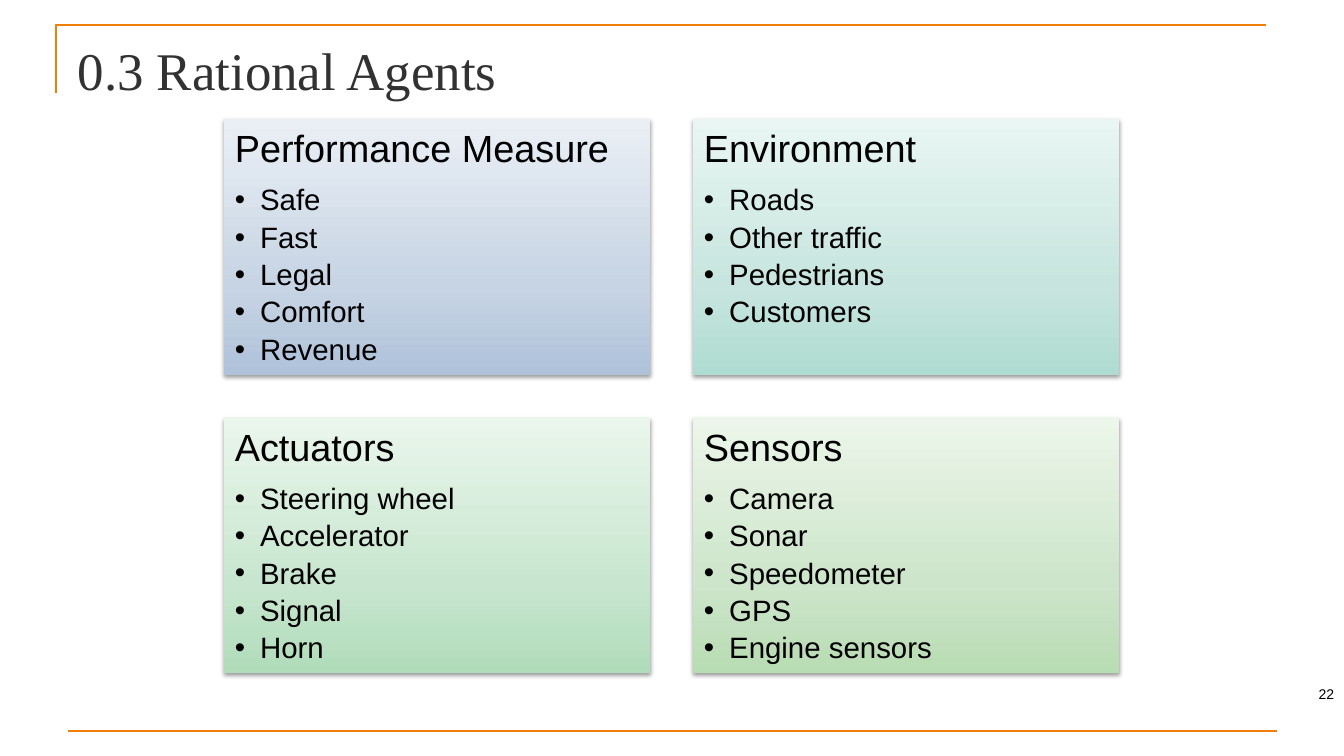
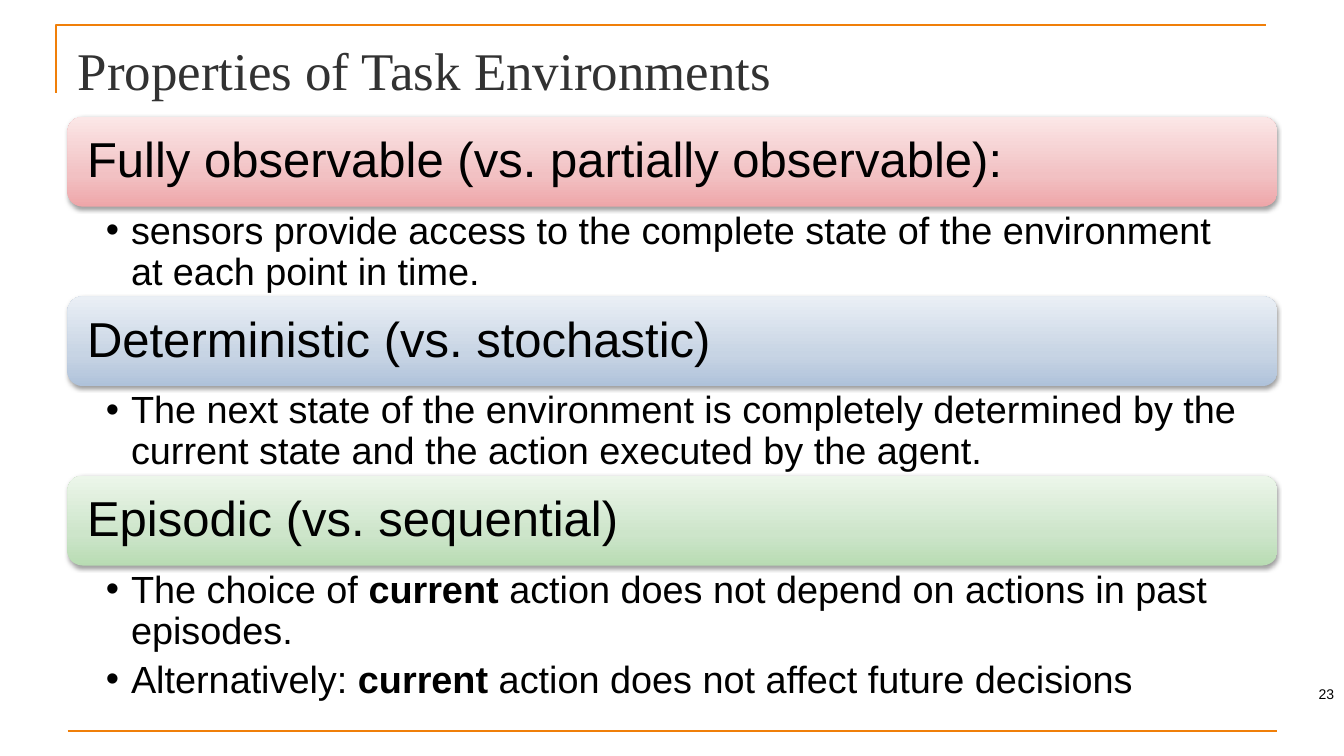
import copy
from dataclasses import dataclass

import pptx
import pptx.dml.color
import pptx.enum.shapes
import pptx.enum.text
import pptx.oxml
import pptx.oxml.ns
import pptx.util
from lxml import etree

Inches, Pt = pptx.util.Inches, pptx.util.Pt
RGB = pptx.dml.color.RGBColor.from_string
qn = pptx.oxml.ns.qn
SHAPE = pptx.enum.shapes.MSO_SHAPE
ANCHOR = pptx.enum.text.MSO_ANCHOR
ALIGN = pptx.enum.text.PP_ALIGN


@dataclass(frozen=True)
class Theme:
    title_font: str = "Times New Roman"
    body_font: str = "Arial"
    title_color: str = "323232"
    text_color: str = "000000"
    accent: str = "F07F09"
    title_size: float = 37.8
    band_size: float = 35
    heading_size: float = 27
    item_size: float = 21
    number_size: float = 10
    # Gradient stops from the bottom edge to the top edge
    stops: tuple = (0, 0.35, 1)
    blue: tuple = ("AFC2DA", "C7D4E4", "EAEFF5")
    teal: tuple = ("AFDCD2", "C7E5DE", "E9F6F3")
    mint: tuple = ("B0DCBA", "C8E6CF", "EAF6EC")
    green: tuple = ("B8DCB3", "CDE5CA", "ECF6EA")
    red: tuple = ("EEA6A9", "F2C1C3", "FBE7E7")


THEME = Theme()
SLIDE_WIDTH, SLIDE_HEIGHT = 13.33, 7.5
FIRST_NUMBER = 22
CONTENT_LEFT, CONTENT_WIDTH = 0.67, 12

# Card grid: height and gap follow from the card width
CARD_LEFT, CARD_TOP, CARD_WIDTH, CARD_COLUMNS = 2.22, 1.18, 4.23, 2
CARD_HEIGHT, CARD_GAP = 0.6 * CARD_WIDTH, 0.1 * CARD_WIDTH

# Stack of bands, each followed by its details
STACK_TOP, BAND_HEIGHT = 1.16, 0.89

CARDS = [
    ("Performance Measure", THEME.blue,
     ["Safe", "Fast", "Legal", "Comfort", "Revenue"]),
    ("Environment", THEME.teal,
     ["Roads", "Other traffic", "Pedestrians", "Customers"]),
    ("Actuators", THEME.mint,
     ["Steering wheel", "Accelerator", "Brake", "Signal", "Horn"]),
    ("Sensors", THEME.green,
     ["Camera", "Sonar", "Speedometer", "GPS", "Engine sensors"]),
]

# Asterisk pairs mark bold words; the number is the height of the details
BANDS = [
    ("Fully observable (vs. partially observable):", THEME.red, 0.89,
     ["sensors provide access to the complete state of the environment "
      "at each point in time."]),
    ("Deterministic (vs. stochastic)", THEME.blue, 0.89,
     ["The next state of the environment is completely determined by the "
      "current state and the action executed by the agent."]),
    ("Episodic (vs. sequential)", THEME.green, 1.39,
     ["The choice of **current **action does not depend on actions in past "
      "episodes.",
      "Alternatively: **current** action does not affect future decisions"]),
]


def box(*lengths):
    return [Inches(length) for length in lengths]


# Text
def style_font(font, size, name=THEME.body_font, color=THEME.text_color):
    font.size = Pt(size)
    font.name = name
    font.color.rgb = RGB(color)


def set_frame(frame, margins, anchor=ANCHOR.TOP):
    frame.word_wrap = True
    frame.vertical_anchor = anchor
    (frame.margin_left, frame.margin_top,
     frame.margin_right, frame.margin_bottom) = box(*margins)


def add_bullet(paragraph, indent=0.25):
    properties = paragraph._p.get_or_add_pPr()
    properties.set("marL", str(Inches(indent)))
    properties.set("indent", str(-Inches(indent)))
    etree.SubElement(properties, qn("a:buFont")).set("typeface", THEME.body_font)
    etree.SubElement(properties, qn("a:buChar")).set("char", "•")


def write_paragraphs(frame, texts, size, space_after, bullet=False):
    for text in texts:
        first = frame.paragraphs[0]
        paragraph = frame.add_paragraph() if first.runs else first
        for index, part in enumerate(text.split("**")):
            run = paragraph.add_run()
            run.text = part
            if index % 2:
                run.font.bold = True
        paragraph.alignment = ALIGN.LEFT
        paragraph.line_spacing = 0.9
        paragraph.space_after = Pt(space_after)
        if bullet:
            add_bullet(paragraph)
        style_font(paragraph.font, size)


# Shapes
def add_panel(slide, preset, place, colors):
    """Add a borderless shape with a vertical gradient and a soft shadow."""
    shape = slide.shapes.add_shape(preset, *box(*place))
    shape.line.fill.background()
    shape.fill.gradient()
    shape.fill.gradient_angle = 90
    stop_list = shape.element.spPr.find(".//" + qn("a:gsLst"))
    stop_list.insert(1, copy.deepcopy(stop_list[0]))
    for stop, position, color in zip(shape.fill.gradient_stops, THEME.stops, colors):
        stop.position = position
        stop.color.rgb = RGB(color)
    shape.shadow.inherit = False
    effects = shape.element.spPr.find(qn("a:effectLst"))
    shadow = etree.SubElement(effects, qn("a:outerShdw"), blurRad=str(Pt(3.1)),
                              dist=str(Pt(1.6)), dir="5400000", rotWithShape="0")
    color = etree.SubElement(shadow, qn("a:srgbClr"), val="000000")
    etree.SubElement(color, qn("a:alpha"), val="38000")
    return shape


def add_card(slide, index, heading, colors, items):
    row, column = divmod(index, CARD_COLUMNS)
    left = CARD_LEFT + column * (CARD_WIDTH + CARD_GAP)
    top = CARD_TOP + row * (CARD_HEIGHT + CARD_GAP)
    card = add_panel(slide, SHAPE.RECTANGLE,
                     (left, top, CARD_WIDTH, CARD_HEIGHT), colors)
    set_frame(card.text_frame, [0.11] * 4)
    write_paragraphs(card.text_frame, [heading], THEME.heading_size, 10.5)
    write_paragraphs(card.text_frame, items, THEME.item_size, 4, bullet=True)


def add_band(slide, top, heading, colors, detail_height, details):
    """Add a heading band with its details and return the bottom edge."""
    band = add_panel(slide, SHAPE.ROUNDED_RECTANGLE,
                     (CONTENT_LEFT, top, CONTENT_WIDTH, BAND_HEIGHT), colors)
    set_frame(band.text_frame, (0.15, 0.15, 0.15, 0.15), ANCHOR.MIDDLE)
    write_paragraphs(band.text_frame, [heading], THEME.band_size, 0)
    top += BAND_HEIGHT
    detail = slide.shapes.add_textbox(
        *box(CONTENT_LEFT, top, CONTENT_WIDTH, detail_height))
    set_frame(detail.text_frame, (0.38, 0.05, 0.27, 0.05))
    write_paragraphs(detail.text_frame, details, THEME.heading_size, 6, bullet=True)
    return top + detail_height


# Shared frame
def decorate_layout(layout, slide):
    """Draw the rules on a slide, then move them to its layout."""
    title = layout.placeholders[0]
    title.left, title.top, title.width, title.height = box(
        CONTENT_LEFT, 0.3, CONTENT_WIDTH, 0.78)
    builder = slide.shapes.build_freeform(*box(0.56, 0.92))
    builder.add_line_segments([box(0.56, 0.25), box(12.56, 0.25)], close=False)
    corner = builder.convert_to_shape()
    corner.fill.background()
    corner.shadow.inherit = False
    bottom = slide.shapes.add_connector(
        pptx.enum.shapes.MSO_CONNECTOR.STRAIGHT,
        *box(CONTENT_LEFT, 7.25, CONTENT_LEFT + CONTENT_WIDTH, 7.25))
    for rule in (corner, bottom):
        rule.line.color.rgb = RGB(THEME.accent)
        rule.line.width = Pt(1.5)
        layout.shapes.element.append(rule.element)
    etree.SubElement(bottom.element.spPr, qn("a:effectLst"))


def add_slide_number(slide, number):
    width = 0.47
    holder = slide.shapes.add_textbox(
        *box(SLIDE_WIDTH - width, 6.68, width, 0.4))
    holder.text_frame.word_wrap = True
    holder.text_frame.vertical_anchor = ANCHOR.MIDDLE
    paragraph = holder.text_frame.paragraphs[0]
    paragraph.alignment = ALIGN.RIGHT
    run = paragraph.add_run()
    run.text = str(number)
    style_font(run.font, THEME.number_size)
    # Turn the run into a live slide number field
    field = etree.SubElement(paragraph._p, qn("a:fld"), type="slidenum",
                             id="{B6F15528-21DE-4FAA-801E-634DDDAF4B2B}")
    field.extend(list(run._r))
    paragraph._p.remove(run._r)


def add_titled_slide(presentation, layout, title):
    slide = presentation.slides.add_slide(layout)
    frame = slide.shapes.title.text_frame
    frame.text = title
    frame.vertical_anchor = ANCHOR.MIDDLE
    paragraph = frame.paragraphs[0]
    paragraph.alignment = ALIGN.LEFT
    style_font(paragraph.font, THEME.title_size, THEME.title_font, THEME.title_color)
    add_slide_number(slide, FIRST_NUMBER + len(presentation.slides) - 1)
    return slide


def main():
    presentation = pptx.Presentation()
    presentation.slide_width = Inches(SLIDE_WIDTH)
    presentation.slide_height = Inches(SLIDE_HEIGHT)
    presentation.element.set("firstSlideNum", str(FIRST_NUMBER))
    layout = presentation.slide_layouts.get_by_name("Title Only")

    # Agent description in four cards
    agents = add_titled_slide(presentation, layout, "0.3 Rational Agents")
    decorate_layout(layout, agents)
    for index, card in enumerate(CARDS):
        add_card(agents, index, *card)

    # Environment properties in stacked bands
    properties = add_titled_slide(presentation, layout,
                                  "Properties of Task Environments")
    top = STACK_TOP
    for band in BANDS:
        top = add_band(properties, top, *band)

    presentation.save("out.pptx")


if __name__ == "__main__":
    main()
